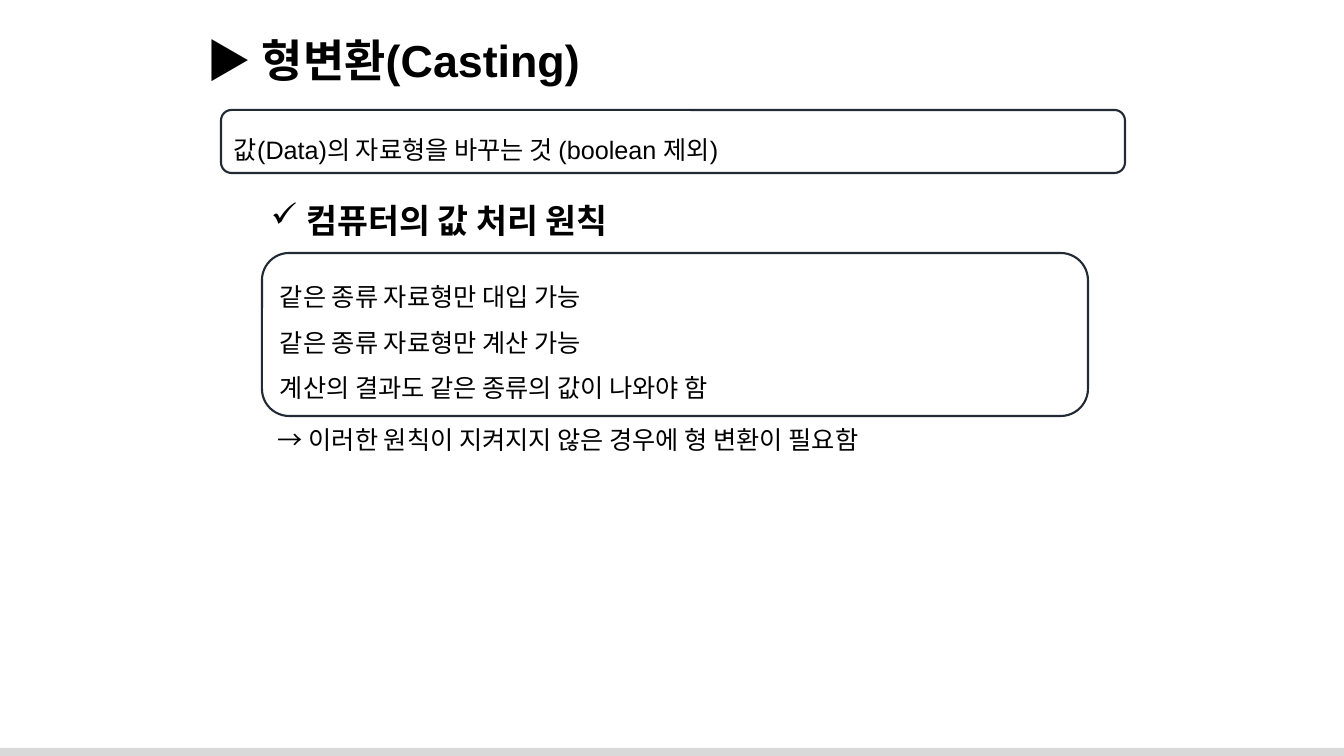
from lxml import etree
from pptx import Presentation
from pptx import util as u
from pptx.dml.color import RGBColor
from pptx.enum import shapes, text
from pptx.oxml.ns import qn

SCALE = 914400 / 100.8
BLACK, NAVY, GREY = "000000", "222A35", "D9D9D9"


def px(*lengths):
    """Turn pixel lengths into EMU."""
    return [u.Emu(round(length * SCALE)) for length in lengths]


def color(hex_string):
    """Turn a hex string into a colour."""
    return RGBColor.from_string(hex_string)


def write(shape, lines, size, bold=False, **paragraph_format):
    """Write one left-aligned paragraph per line."""
    frame = shape.text_frame
    frame.text = "\n".join(lines)
    for paragraph in frame.paragraphs:
        for name, value in {"alignment": text.PP_ALIGN.LEFT, **paragraph_format}.items():
            setattr(paragraph, name, value)
        font = paragraph.runs[0].font
        for name, value in {"name": "Arial", "size": u.Pt(size), "bold": bold}.items():
            setattr(font, name, value)
        font.color.rgb = color(BLACK)


def add_label(slide, box, line, size, bold=False, wrap=True):
    """Place a one-line text box and return it."""
    label = slide.shapes.add_textbox(*px(*box))
    write(label, [line], size, bold)
    label.text_frame.word_wrap = wrap
    label.text_frame.auto_size = text.MSO_AUTO_SIZE.SHAPE_TO_FIT_TEXT
    return label


def add_check(label):
    """Give a label a hanging check mark bullet."""
    properties = label.text_frame.paragraphs[0]._p.get_or_add_pPr()
    indent = px(28)[0]
    properties.set("marL", str(indent))
    properties.set("indent", str(-indent))
    etree.SubElement(properties, qn("a:buChar")).set("char", "✓")


def add_panel(slide, box, lines):
    """Draw an outlined rounded panel holding the lines."""
    panel = slide.shapes.add_shape(shapes.MSO_SHAPE.ROUNDED_RECTANGLE, *px(*box))
    panel.shadow.inherit = False
    panel.fill.background()
    panel.line.color.rgb = color(NAVY)
    panel.line.width = u.Pt(1.5)
    panel.text_frame.vertical_anchor = text.MSO_ANCHOR.MIDDLE
    write(panel, lines, 18, line_spacing=1.5)


def add_footer(slide, box):
    """Draw the plain strip along the bottom edge."""
    strip = slide.shapes.add_shape(shapes.MSO_SHAPE.RECTANGLE, *px(*box))
    strip.shadow.inherit = False
    strip.fill.solid()
    strip.fill.fore_color.rgb = color(GREY)
    strip.line.fill.background()


def add_definition(slide, box):
    """Place the title and the definition panel below it."""
    left, top, width, height = box
    add_label(slide, (left, top, width, 64), "▶ 형변환(Casting)", 32, bold=True)
    add_panel(slide, (left + 24, top + 82, 904, height - 82),
              ["값(Data)의 자료형을 바꾸는 것 (boolean 제외)"])


def add_principles(slide, box):
    """Place the heading, the panel of principles and the conclusion."""
    left, top, width, height = box
    heading = add_label(slide, (left, top, 402, 50), " 컴퓨터의 값 처리 원칙", 24,
                        bold=True, wrap=False)
    add_check(heading)
    add_label(slide, (left + 7, top + height - 40, 719, 40),
              "→ 이러한 원칙이 지켜지지 않은 경우에 형 변환이 필요함", 18)
    add_panel(slide, (left + 1, top + 58, width, 163),
              ["같은 종류 자료형만 대입 가능",
               "같은 종류 자료형만 계산 가능",
               "계산의 결과도 같은 종류의 값이 나와야 함"])


presentation = Presentation()
presentation.slide_width, presentation.slide_height = px(1344, 756)
slide = presentation.slides.add_slide(presentation.slide_layouts[6])
add_footer(slide, (0, 748, 1344, 8))
add_definition(slide, (197, 28, 953, 145))
add_principles(slide, (261, 195, 826, 264))
presentation.save("out.pptx")
